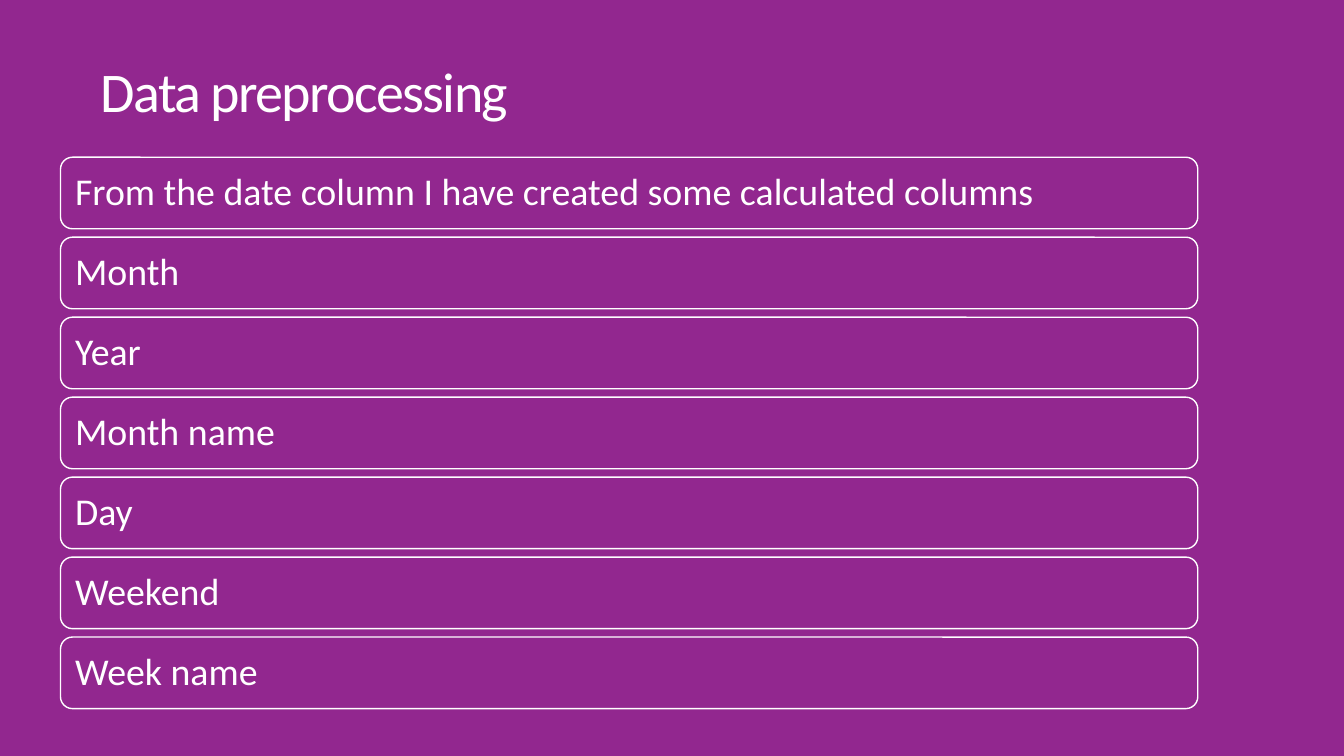
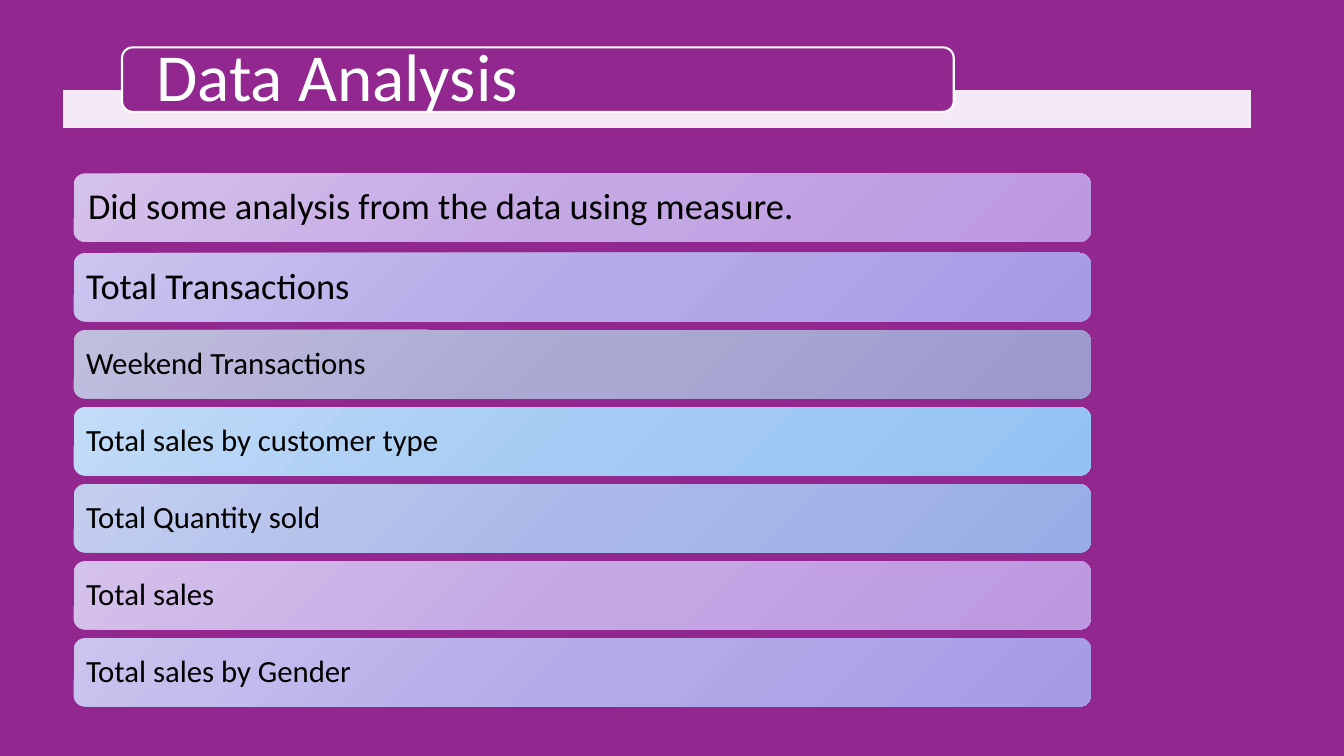
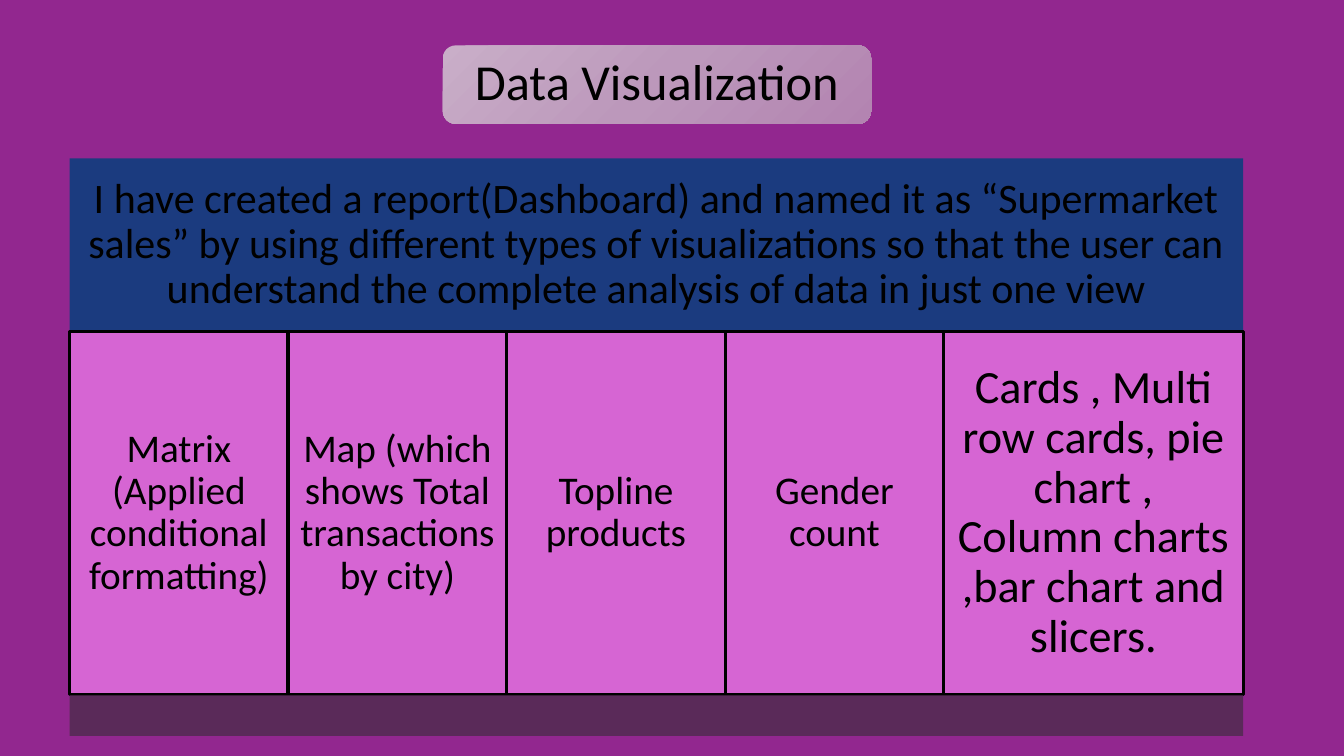
import copy
from dataclasses import dataclass

import lxml.etree
import pptx
import pptx.dml.color
import pptx.enum.shapes
import pptx.enum.text
import pptx.oxml.ns
import pptx.util

Inches = pptx.util.Inches
Pt = pptx.util.Pt
qn = pptx.oxml.ns.qn
Kind = pptx.enum.shapes.MSO_SHAPE
Align = pptx.enum.text.PP_ALIGN
Anchor = pptx.enum.text.MSO_ANCHOR


@dataclass(frozen=True)
class Theme:
    font: str = "Calibri"
    back: str = "92278F"
    white: str = "FFFFFF"
    black: str = "000000"
    navy: str = "1B3B7F"
    pink: str = "D665D3"
    plum: str = "5A2A59"
    lilac: tuple = ("D4C1EB", "C4A8E4", "BC98E1")
    violet: tuple = ("CAC4EE", "B4ABE8", "A69BE6")
    slate: tuple = ("C0BEDD", "ABA8D3", "9D99CE")
    sky: tuple = ("C2DBF7", "A5CBF4", "93C3F4")
    blue: tuple = ("C3CEEF", "AAB9E9", "99ADE7")
    mauve: tuple = ("C9AEC8", "BC98BB", "B384B1")
    head: int = 40
    banner: int = 48
    plaque: int = 36
    step: int = 27
    lead: int = 26
    item: int = 22
    intro: int = 30
    cell: int = 28
    large: int = 33


T = Theme()

STEPS = [
    "From the date column I have created some calculated columns",
    "Month",
    "Year",
    "Month name",
    "Day",
    "Weekend",
    "Week name",
]
LEAD = "Did some analysis from the data using measure."
SALES = [
    ("Total Transactions", T.violet, T.lead),
    ("Weekend Transactions", T.slate, T.item),
    ("Total sales by customer type", T.sky, T.item),
    ("Total Quantity sold", T.blue, T.item),
    ("Total sales", T.lilac, T.item),
    ("Total sales by Gender", T.violet, T.item),
]
INTRO = (
    "I have created a report(Dashboard) and named it as “Supermarket sales” "
    "by using different types of visualizations so that the user can "
    "understand the complete analysis of data in just one view"
)
VISUALS = [
    "Matrix (Applied conditional formatting)",
    "Map (which shows Total transactions by city)",
    "Topline products",
    "Gender count",
]
OTHERS = "Cards , Multi row cards, pie chart , Column charts ,bar chart and slicers."


def rgb(code):
    return pptx.dml.color.RGBColor.from_string(code)


def write(shape, text, *, size, color=T.black, align=Align.LEFT,
          anchor=Anchor.MIDDLE, pad=(0.11, 0.11), lines=0.9, track=0):
    frame = shape.text_frame
    frame.text = text
    frame.word_wrap = True
    frame.auto_size = pptx.enum.text.MSO_AUTO_SIZE.NONE
    frame.vertical_anchor = anchor
    frame.margin_left = frame.margin_right = Inches(pad[0])
    frame.margin_top = frame.margin_bottom = Inches(pad[1])
    para = frame.paragraphs[0]
    para.alignment = align
    para.line_spacing = lines
    run = para.runs[0]
    run.font.name = T.font
    run.font.size = Pt(size)
    run.font.color.rgb = rgb(color)
    if track:
        run.font._element.set("spc", str(round(track * 100)))


def shade(shape, colors):
    fill = shape.fill
    fill.gradient()
    fill.gradient_angle = 315
    stops = shape._element.spPr.find(".//" + qn("a:gsLst"))
    stops.append(copy.deepcopy(stops[-1]))
    for i, (stop, color) in enumerate(zip(fill.gradient_stops, colors)):
        stop.position = i / (len(colors) - 1)
        stop.color.rgb = rgb(color)


def panel(slide, box, fill, kind=Kind.RECTANGLE, line=None, width=1):
    shape = slide.shapes.add_shape(kind, *map(Inches, box))
    shape.shadow.inherit = False
    if isinstance(fill, tuple):
        shade(shape, fill)
    else:
        shape.fill.solid()
        shape.fill.fore_color.rgb = rgb(fill)
    if line:
        shape.line.color.rgb = rgb(line)
        shape.line.width = Pt(width)
    else:
        shape.line.fill.background()
    return shape


def title(slide, text, box, **style):
    shape = slide.shapes.title
    shape.left, shape.top, shape.width, shape.height = map(Inches, box)
    write(shape, text, **style)
    slide.shapes._spTree.append(shape._element)


def steps(slide):
    title(slide, "Data preprocessing", (0.46, 0.46, 11.42, 0.81),
          size=T.head, color=T.white, anchor=Anchor.BOTTOM,
          pad=(0.54, 0.05), lines=0.8, track=-1.2)
    top, last = 1.56, 6.32
    pitch = (last - top) / (len(STEPS) - 1)
    for i, text in enumerate(STEPS):
        row = panel(slide, (0.6, top + i * pitch, 11.28, 0.71), T.back,
                    Kind.ROUNDED_RECTANGLE, T.white)
        write(row, text, size=T.step, color=T.white)


def sales(slide):
    stripe = panel(slide, (0.62, 0.89, 11.79, 0.39), T.white, line=T.back)
    tint = stripe._element.spPr.find(qn("a:solidFill"))[0]
    lxml.etree.SubElement(tint, qn("a:alpha"), val="90000")
    box = (1.21, 0.47, 8.25, 0.64)
    panel(slide, box, T.back, Kind.ROUNDED_RECTANGLE, T.white, 1.5)
    title(slide, "Data Analysis", box, size=T.banner, color=T.white,
          pad=(0.34, 0))
    left, wide, high = 0.73, 10.09, 0.68
    row = panel(slide, (left, 1.72, wide, high), T.lilac,
                Kind.ROUNDED_RECTANGLE)
    write(row, LEAD, size=T.lead)
    top, last = 2.51, 6.33
    pitch = (last - top) / (len(SALES) - 1)
    for i, (text, fill, size) in enumerate(SALES):
        row = panel(slide, (left, top + i * pitch, wide, high), fill,
                    Kind.ROUNDED_RECTANGLE)
        write(row, text, size=size, pad=(0.09, 0.09))


def visuals(slide):
    box = (4.39, 0.45, 4.25, 0.78)
    panel(slide, box, T.mauve, Kind.ROUNDED_RECTANGLE)
    title(slide, "Data Visualization", box, size=T.plaque,
          align=Align.CENTER, pad=(0.19, 0.11))
    left, wide, top, high = 0.69, 11.64, 3.29, 3.6
    intro = panel(slide, (left, 1.57, wide, 1.72), T.navy)
    write(intro, INTRO, size=T.intro, align=Align.CENTER, pad=(0.12, 0.12))
    end = 2.97
    pitch = (wide - end) / len(VISUALS)
    cells = [(text, pitch, T.cell, 0.12) for text in VISUALS]
    cells.append((OTHERS, end, T.large, 0.14))
    for i, (text, span, size, pad) in enumerate(cells):
        cell = panel(slide, (left + i * pitch, top, span, high), T.pink,
                     line=T.black, width=2.25)
        write(cell, text, size=size, align=Align.CENTER, pad=(pad, pad))
    panel(slide, (left, 6.9, wide, 0.4), T.plum)


def main():
    deck = pptx.Presentation()
    deck.slide_width = Inches(13.33)
    deck.slide_height = Inches(7.5)
    back = deck.slide_master.background.fill
    back.solid()
    back.fore_color.rgb = rgb(T.back)
    for build in (steps, sales, visuals):
        build(deck.slides.add_slide(deck.slide_layouts[5]))
    deck.save("out.pptx")


if __name__ == "__main__":
    main()
